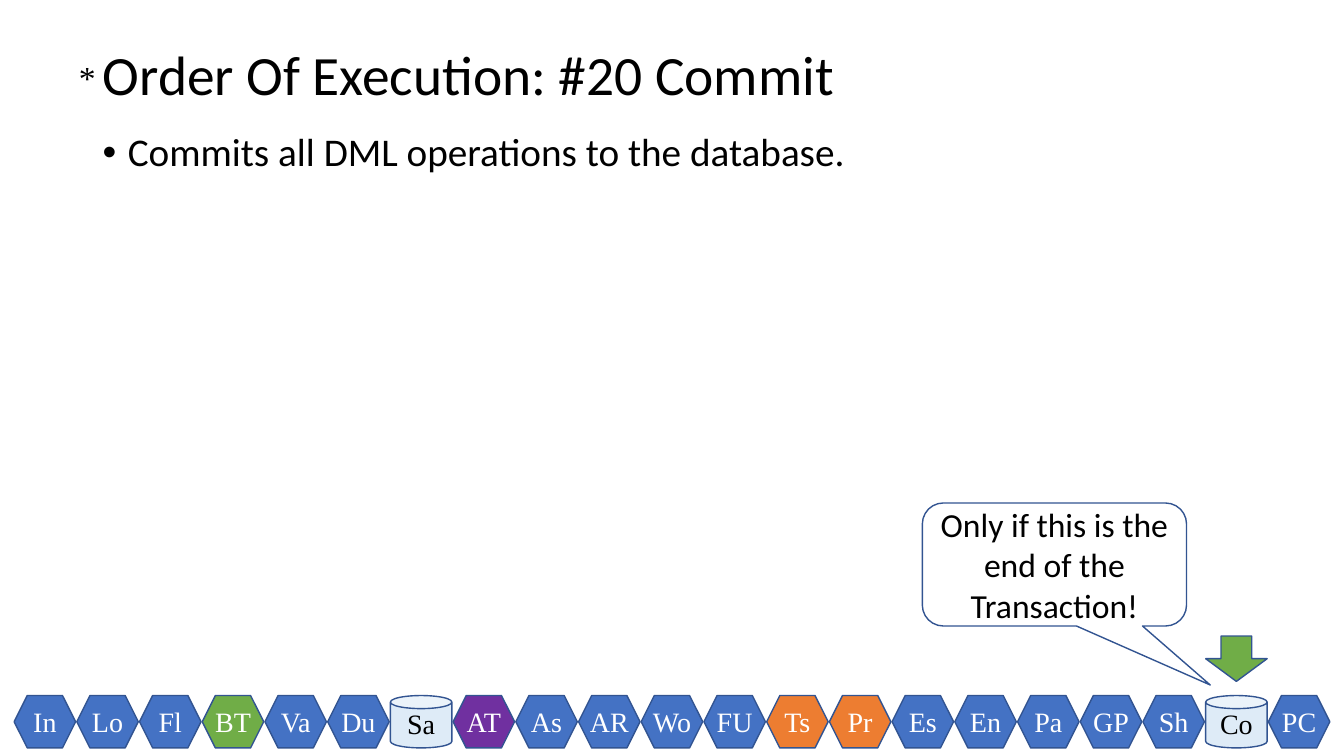
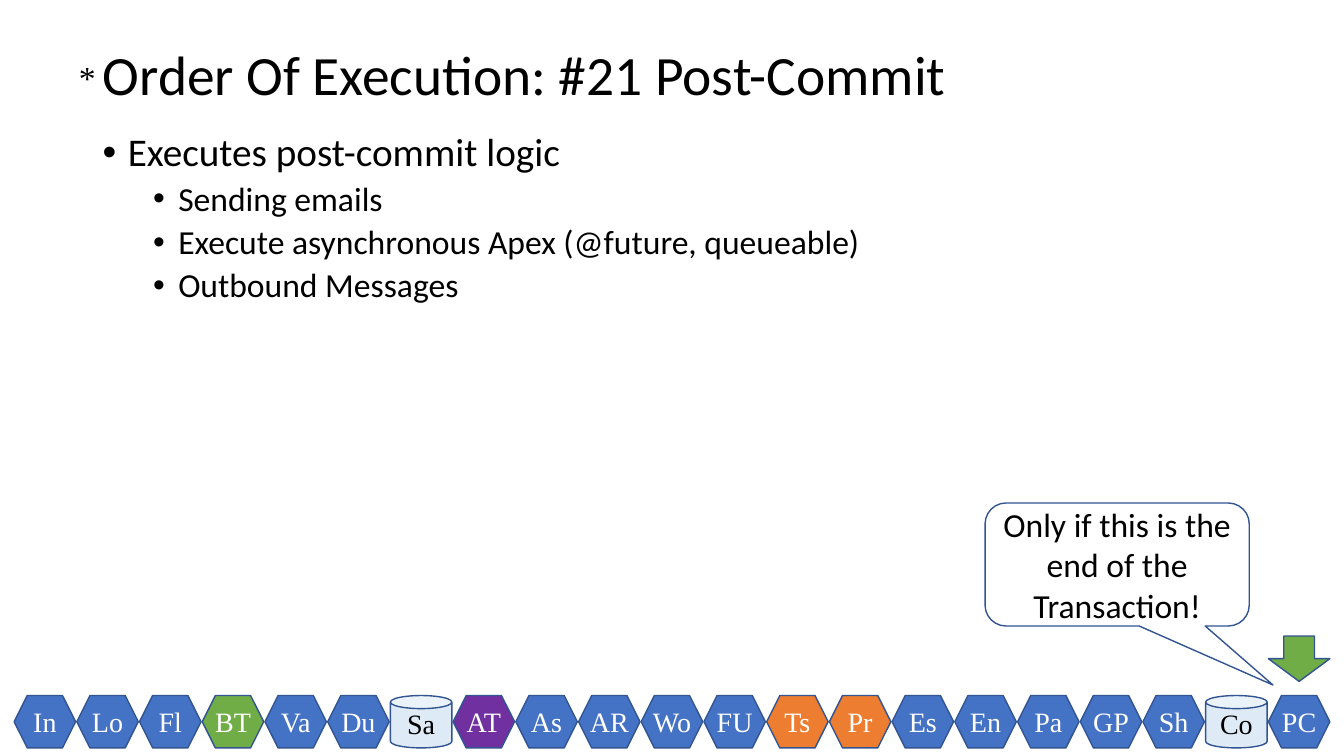
from lxml import etree
from pptx import Presentation
from pptx.dml.color import RGBColor
from pptx.enum.shapes import MSO_SHAPE
from pptx.enum.text import MSO_ANCHOR, MSO_AUTO_SIZE, PP_ALIGN
from pptx.oxml.ns import qn
from pptx.util import Pt

HEXAGON, CAN = MSO_SHAPE.HEXAGON, MSO_SHAPE.CAN
ARROW, CALLOUT = MSO_SHAPE.DOWN_ARROW, MSO_SHAPE.ROUNDED_RECTANGULAR_CALLOUT
LEFT, CENTER = PP_ALIGN.LEFT, PP_ALIGN.CENTER
TOP, MIDDLE = MSO_ANCHOR.TOP, MSO_ANCHOR.MIDDLE

COLORS = {
    "blue": "4472C4", "green": "70AD47", "purple": "7030A0", "orange": "ED7D31",
    "pale": "DEEBF7", "outline": "325491", "white": "FFFFFF", "black": "000000",
}
SANS, SERIF = "Calibri", "Times New Roman"

STEPS = ["In", "Lo", "Fl", "BT", "Va", "Du", "Sa", "AT", "As", "AR", "Wo",
         "FU", "Ts", "Pr", "Es", "En", "Pa", "GP", "Sh", "Co", "PC"]
STEP_COLORS = {"BT": "green", "AT": "purple", "Ts": "orange", "Pr": "orange"}
DATABASE_STEPS = {"Sa", "Co"}
CONDITION = "Only if this is the end of the Transaction!"

SLIDES = [
    {"title": "Order Of Execution: #20 Commit", "step": "Co",
     "points": [(0, "Commits all DML operations to the database.")]},
    {"title": "Order Of Execution: #21 Post-Commit", "step": "PC",
     "points": [(0, "Executes post-commit logic"),
                (1, "Sending emails"),
                (1, "Execute asynchronous Apex (@future, queueable)"),
                (1, "Outbound Messages")]},
]
POINT_LEVELS = [{"size": 28, "indent": 25, "before": 10},
                {"size": 24, "indent": 75, "before": 5}]

EMU_PER_PX = 9144
STEP_LEFT, STEP_RIGHT, STEP_WIDTH = 14, 1258, 61
STEP_PITCH = (STEP_RIGHT - STEP_LEFT) / (len(STEPS) - 1)


def px(value):
    return round(value * EMU_PER_PX)


def box(left, top, width, height):
    return [px(value) for value in (left, top, width, height)]


def rgb(name):
    return RGBColor.from_string(COLORS[name])


def add_bullet(paragraph, indent):
    properties = paragraph._p.get_or_add_pPr()
    properties.set("marL", str(px(indent)))
    properties.set("indent", str(px(-25)))
    etree.SubElement(properties, qn("a:buFont")).set("typeface", "Arial")
    etree.SubElement(properties, qn("a:buChar")).set("char", "•")


def write(paragraph, text, *, size, font=SANS, color="black", align=LEFT,
          spacing=None, before=0, indent=None):
    if indent is not None:
        add_bullet(paragraph, indent)
    paragraph.alignment = align
    paragraph.line_spacing = spacing
    paragraph.space_before = Pt(before)
    run = paragraph.add_run()
    run.text = text
    run.font.size = Pt(size)
    run.font.name = font
    run.font.color.rgb = rgb(color)


def set_frame(frame, anchor, wrap=True):
    frame.auto_size = MSO_AUTO_SIZE.NONE
    frame.vertical_anchor = anchor
    frame.word_wrap = wrap
    return frame


def add_outlined(slide, kind, place, fill):
    shape = slide.shapes.add_shape(kind, *box(*place))
    shape.shadow.inherit = False
    shape.fill.solid()
    shape.fill.fore_color.rgb = rgb(fill)
    shape.line.color.rgb = rgb("outline")
    shape.line.width = Pt(1)
    return shape


def step_x(step):
    return STEP_LEFT + STEPS.index(step) * STEP_PITCH


def add_step_band(slide):
    for step in STEPS:
        stored = step in DATABASE_STEPS
        fill = "pale" if stored else STEP_COLORS.get(step, "blue")
        badge = add_outlined(slide, CAN if stored else HEXAGON,
                             (step_x(step), 690, STEP_WIDTH, 52), fill)
        frame = set_frame(badge.text_frame, MIDDLE, wrap=False)
        frame.margin_left = frame.margin_right = frame.margin_top = 0
        frame.margin_bottom = px(4 if stored else 0)
        write(frame.paragraphs[0], step, size=20, font=SERIF, align=CENTER,
              color="black" if stored else "white")


def add_title(slide, text):
    title = slide.shapes.title
    title.left, title.top, title.width, title.height = box(92, 40, 1150, 74)
    frame = set_frame(title.text_frame, MIDDLE)
    write(frame.paragraphs[0], text, size=39.6, spacing=0.9)


def add_points(slide, points):
    body = slide.shapes.add_textbox(*box(92, 127, 1150, 476))
    frame = set_frame(body.text_frame, TOP)
    for number, (level, text) in enumerate(points):
        paragraph = frame.add_paragraph() if number else frame.paragraphs[0]
        paragraph.level = level
        style = dict(POINT_LEVELS[level])
        if number == 0:
            style["before"] = 0
        write(paragraph, text, spacing=0.9, **style)


def add_step_marker(slide, step):
    left = step_x(step)
    add_outlined(slide, ARROW, (left, 631, STEP_WIDTH, 45), "green")
    callout = add_outlined(slide, CALLOUT, (left - 281, 499, 262, 122), "white")
    for number, value in enumerate((0.59, 0.98, 0.17)):
        callout.adjustments[number] = value
    frame = set_frame(callout.text_frame, MIDDLE)
    write(frame.paragraphs[0], CONDITION, size=24, align=CENTER)


def add_asterisk(slide):
    asterisk = slide.shapes.add_textbox(*box(78, 52, 17, 50))
    frame = set_frame(asterisk.text_frame, TOP, wrap=False)
    frame.margin_left = frame.margin_right = 0
    write(frame.paragraphs[0], "*", size=24, font=SERIF, align=CENTER)


def main():
    deck = Presentation()
    deck.slide_width, deck.slide_height = px(1333), px(750)
    title_only = deck.slide_layouts[5]
    for content in SLIDES:
        slide = deck.slides.add_slide(title_only)
        add_step_band(slide)
        add_title(slide, content["title"])
        add_points(slide, content["points"])
        add_step_marker(slide, content["step"])
        add_asterisk(slide)
    deck.save("out.pptx")


if __name__ == "__main__":
    main()
